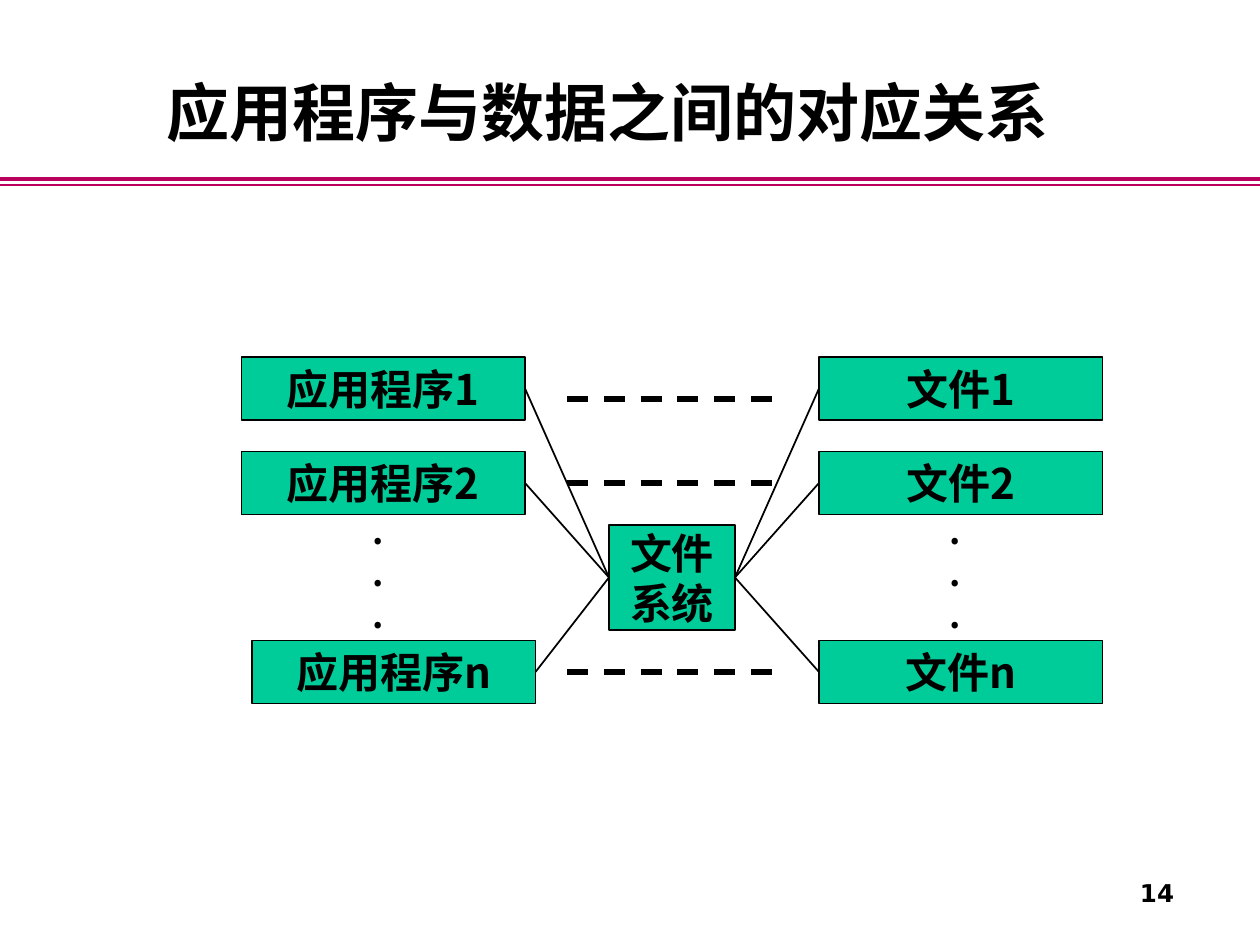
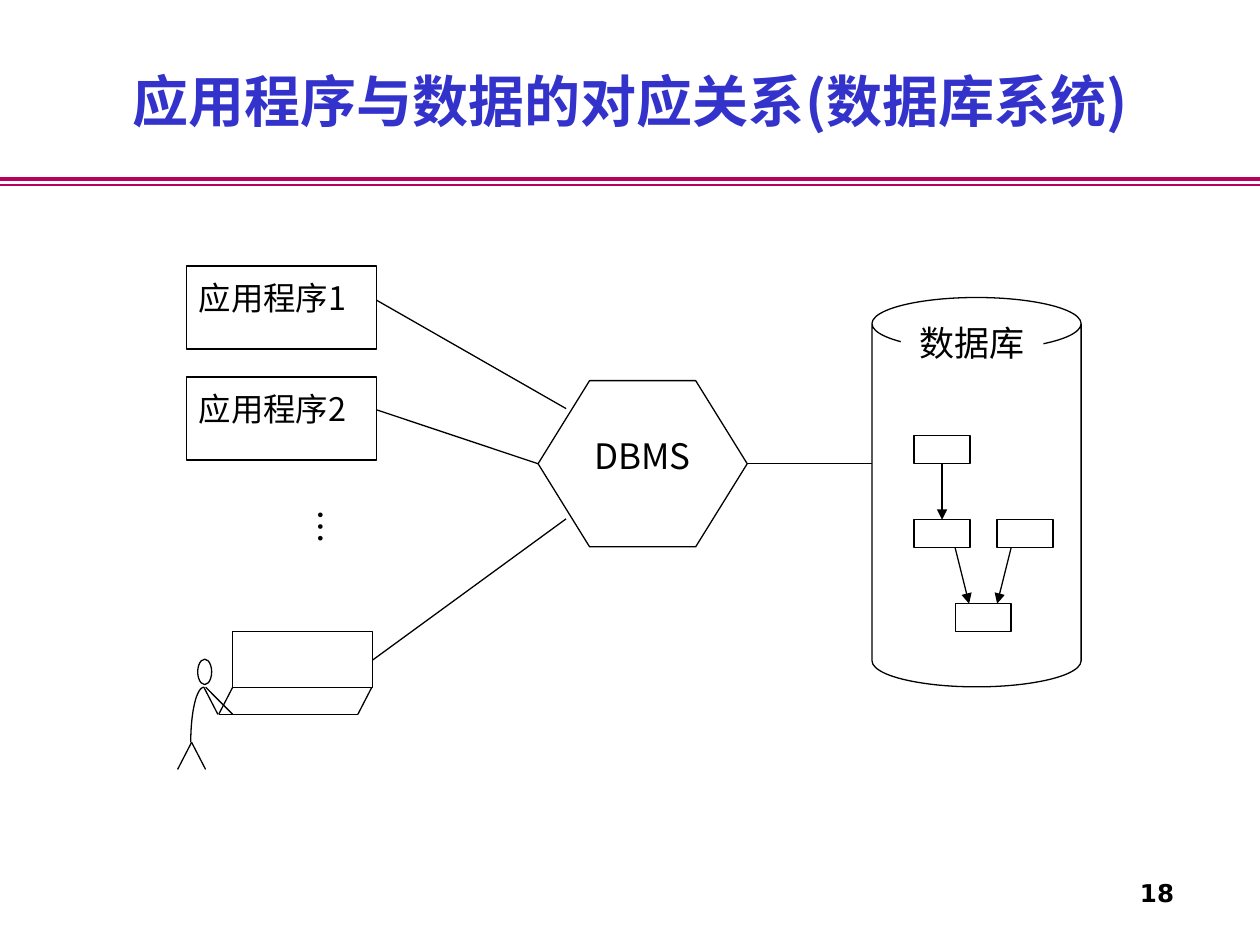
"""Two slides relating application programs to data."""
import dataclasses
import math

import lxml.etree
import pptx
import pptx.dml.color
import pptx.enum.dml
import pptx.enum.shapes
import pptx.enum.text
import pptx.oxml.ns
import pptx.util

Pt = pptx.util.Pt
Align = pptx.enum.text.PP_ALIGN
Anchor = pptx.enum.text.MSO_ANCHOR
Preset = pptx.enum.shapes.MSO_SHAPE
qn = pptx.oxml.ns.qn


@dataclasses.dataclass(frozen=True)
class Theme:
    """Colours, fonts, type sizes and line widths of the slides."""
    black: str = "000000"
    white: str = "FFFFFF"
    green: str = "00CC99"
    blue: str = "3333CC"
    crimson: str = "BA005D"
    font: str = "Noto Sans CJK SC"
    number_font: str = "DejaVu Sans"
    title: float = 36
    long_title: float = 32
    node: float = 24
    label: float = 20
    program: float = 18.5
    number: float = 14
    thin: float = 0.75
    normal: float = 1
    rule: float = 2.25
    dash: float = 3


@dataclasses.dataclass(frozen=True)
class Box:
    """A rectangle in points that places parts relative to its corner."""
    left: float
    top: float
    width: float
    height: float

    def inner(self, left, top, width, height):
        """Return a box offset from this one."""
        return Box(self.left + left, self.top + top, width, height)

    def point(self, x, y):
        """Return a slide position for an offset in this box."""
        return self.left + x, self.top + y

    def lengths(self):
        """Return the four lengths for a new shape."""
        return [Pt(value) for value in (self.left, self.top, self.width, self.height)]


THEME = Theme()
PAGE = Box(0, 0, 720, 540)
INSETS = (7.2, 3.6, 7.2, 3.6)


def rgb(colour):
    """Return a colour object."""
    return pptx.dml.color.RGBColor.from_string(colour)


def write(shape, lines, size, bold=False, colour=THEME.black, font=THEME.font,
          align=Align.CENTER, anchor=Anchor.MIDDLE, insets=INSETS, spacing=None):
    """Write lines into a shape, one paragraph each."""
    frame = shape.text_frame
    frame.word_wrap = True
    frame.vertical_anchor = anchor
    (frame.margin_left, frame.margin_top,
     frame.margin_right, frame.margin_bottom) = map(Pt, insets)
    for index, line in enumerate(lines):
        paragraph = frame.add_paragraph() if index else frame.paragraphs[0]
        paragraph.alignment = align
        paragraph.line_spacing = spacing
        run = paragraph.add_run()
        run.text = line
        run.font.name = font
        run.font.size = Pt(size)
        run.font.bold = bold
        run.font.color.rgb = rgb(colour)
        east_asian = lxml.etree.SubElement(run.font._element, qn("a:ea"))
        east_asian.set("typeface", font)


def add_text(slide, box, line, size, **style):
    """Add a text box with one line."""
    shape = slide.shapes.add_textbox(*box.lengths())
    write(shape, [line], size, **style)
    return shape


def add_shape(slide, box, preset=Preset.RECTANGLE, fill=THEME.white, width=THEME.thin):
    """Add a filled shape, outlined in black when it has a line width."""
    shape = slide.shapes.add_shape(preset, *box.lengths())
    shape.shadow.inherit = False
    shape.fill.solid()
    shape.fill.fore_color.rgb = rgb(fill)
    if width:
        shape.line.color.rgb = rgb(THEME.black)
        shape.line.width = Pt(width)
    else:
        shape.line.fill.background()
    return shape


def add_line(slide, start, end, width=THEME.thin, colour=THEME.black,
             dashed=False, arrow=False):
    """Add a straight line between two positions."""
    connector = slide.shapes.add_connector(
        pptx.enum.shapes.MSO_CONNECTOR.STRAIGHT, *map(Pt, (*start, *end)))
    connector.line.color.rgb = rgb(colour)
    connector.line.width = Pt(width)
    if dashed:
        connector.line.dash_style = pptx.enum.dml.MSO_LINE.DASH
    properties = connector._element.spPr
    if arrow:
        tail = lxml.etree.SubElement(properties.find(qn("a:ln")), qn("a:tailEnd"))
        tail.set("type", "triangle")
    lxml.etree.SubElement(properties, qn("a:effectLst"))


def add_page(presentation, number):
    """Add a blank slide with the double rule and its number."""
    slide = presentation.slides.add_slide(presentation.slide_layouts[6])
    for y, width in ((102.2, THEME.rule), (105.8, THEME.normal)):
        add_line(slide, PAGE.point(0, y), PAGE.point(PAGE.width, y), width, THEME.crimson)
    add_text(slide, PAGE.inner(636, 498, 42, 24), number, THEME.number,
             bold=True, font=THEME.number_font, align=Align.RIGHT)
    return slide


def draw_file_system(slide, box):
    """Draw programs and files joined through the file system."""
    row_tops = (0, 54, 162)
    node_width, node_height = 162, 36
    hub = box.inner(210, 96, 72, 60)
    files_left = box.width - node_width
    for left in (0, files_left):
        dots = add_shape(slide, box.inner(left, 108, 156, 30), width=0)
        write(dots, [".", ".", "."], THEME.label, bold=True)
    for suffix, top, dash_y, indent in zip("12n", row_tops, (24, 72, 180), (0, 0, 6)):
        middle = top + node_height / 2
        add_line(slide, box.point(186, dash_y), box.point(312, dash_y),
                 THEME.dash, dashed=True)
        for name, left, node_edge, hub_edge in (
                ("应用程序", indent, indent + node_width, 0),
                ("文件", files_left, files_left, hub.width)):
            node = add_shape(slide, box.inner(left, top, node_width, node_height),
                             fill=THEME.green, width=THEME.normal)
            write(node, [name + suffix], THEME.node, bold=True)
            add_line(slide, box.point(node_edge, middle),
                     hub.point(hub_edge, hub.height / 2), THEME.normal)
    system = add_shape(slide, hub, fill=THEME.green, width=THEME.normal)
    write(system, ["文件", "系统"], THEME.node, bold=True)


def draw_operator(slide, box):
    """Draw a stick figure working at a terminal."""
    add_shape(slide, box.inner(31.5, 0, 80, 32))
    add_shape(slide, box.inner(11.5, 16, 8, 14.5), Preset.FLOWCHART_CONNECTOR)
    keyboard = [((31.5, 32), (23.5, 47.5)), ((111, 32), (103, 47.5)),
                ((23.5, 47.5), (103, 47.5))]
    arms = [((15, 32), (23, 47.5)), ((16, 32), (31.5, 47.5))]
    legs = [((8, 63.5), (16, 79)), ((8, 63.5), (0, 79))]
    for start, end in keyboard + arms + legs:
        add_line(slide, box.point(*start), box.point(*end))
    steps = 16
    angles = [math.pi / 2 * step / steps for step in range(steps + 1)]
    spine = [tuple(map(Pt, box.point(15 - 7.5 * math.sin(angle),
                                     63.5 - 31.5 * math.cos(angle))))
             for angle in angles]
    builder = slide.shapes.build_freeform(*spine[0])
    builder.add_line_segments(spine[1:], close=False)
    body = builder.convert_to_shape()
    body.shadow.inherit = False
    body.fill.background()
    body.line.color.rgb = rgb(THEME.black)
    body.line.width = Pt(THEME.thin)


def draw_programs(slide, box):
    """Draw the program boxes and the ellipsis below them."""
    for index in range(2):
        program = add_shape(slide, box.inner(0, index * 63.4, box.width, 47.5))
        write(program, [f"应用程序{index + 1}"], THEME.program, align=Align.JUSTIFY,
              anchor=Anchor.TOP, insets=(7.2, 9.4, 7.2, 3.6), spacing=0.9)
    ellipsis = add_text(slide, box.inner(54.8, 131.7, 38.2, 66.2), "…", THEME.label,
                        align=Align.LEFT, anchor=Anchor.TOP, insets=(3.6, 7.2, 3.6, 7.2))
    ellipsis.text_frame._txBody.bodyPr.set("vert", "eaVert")


def draw_database(slide, box):
    """Draw the database cylinder with its linked records."""
    add_shape(slide, box, Preset.CAN)
    label = add_shape(slide, box.inner(16.5, 13.7, 81.4, 31.7), width=0)
    write(label, ["数据库"], THEME.label, anchor=Anchor.TOP, insets=(0, 0, 0, 0))
    for left, top in ((24, 79), (24, 127), (71.5, 127), (47.5, 175)):
        add_shape(slide, box.inner(left, top, 32, 16))
    for start, end in (((40, 95), (40, 127)), ((47.5, 143), (55.5, 175)),
                       ((79.5, 143), (71.5, 175))):
        add_line(slide, box.point(*start), box.point(*end), arrow=True)


def draw_database_system(slide, box):
    """Draw programs and an operator reaching the database through the DBMS."""
    hub = box.inner(206, 65.5, 119.5, 95)
    database = box.inner(396.8, 18, 119.5, 222.5)
    for start_y, end in ((18, (16, 16)), (81.3, (0, 47.5)), (225.5, (16, 79))):
        add_line(slide, box.point(111, start_y), hub.point(*end))
    add_line(slide, hub.point(hub.width, 47.5), database.point(0, 95))
    draw_programs(slide, box.inner(5, 0, 108.7, 111))
    draw_operator(slide, box.inner(0, 208.7, 111.5, 79))
    dbms = add_shape(slide, hub, Preset.HEXAGON)
    dbms.adjustments[0] = 0.31
    write(dbms, ["DBMS"], THEME.label, anchor=Anchor.TOP, insets=(0, 15, 0, 3.6))
    draw_database(slide, database)


def main():
    """Build and save both slides."""
    presentation = pptx.Presentation()
    presentation.slide_width = Pt(PAGE.width)
    presentation.slide_height = Pt(PAGE.height)

    slide = add_page(presentation, "14")
    add_text(slide, PAGE.inner(88, 43, 587, 45.5), "应用程序与数据之间的对应关系",
             THEME.title, bold=True, align=Align.LEFT, anchor=Anchor.BOTTOM, spacing=0.8)
    draw_file_system(slide, PAGE.inner(138, 204, 492, 198))

    slide = add_page(presentation, "18")
    add_text(slide, PAGE.inner(54, 12, 612, 90), "应用程序与数据的对应关系(数据库系统)",
             THEME.long_title, bold=True, colour=THEME.blue)
    draw_database_system(slide, PAGE.inner(101.5, 152, 516.5, 288))

    presentation.save("out.pptx")


if __name__ == "__main__":
    main()
